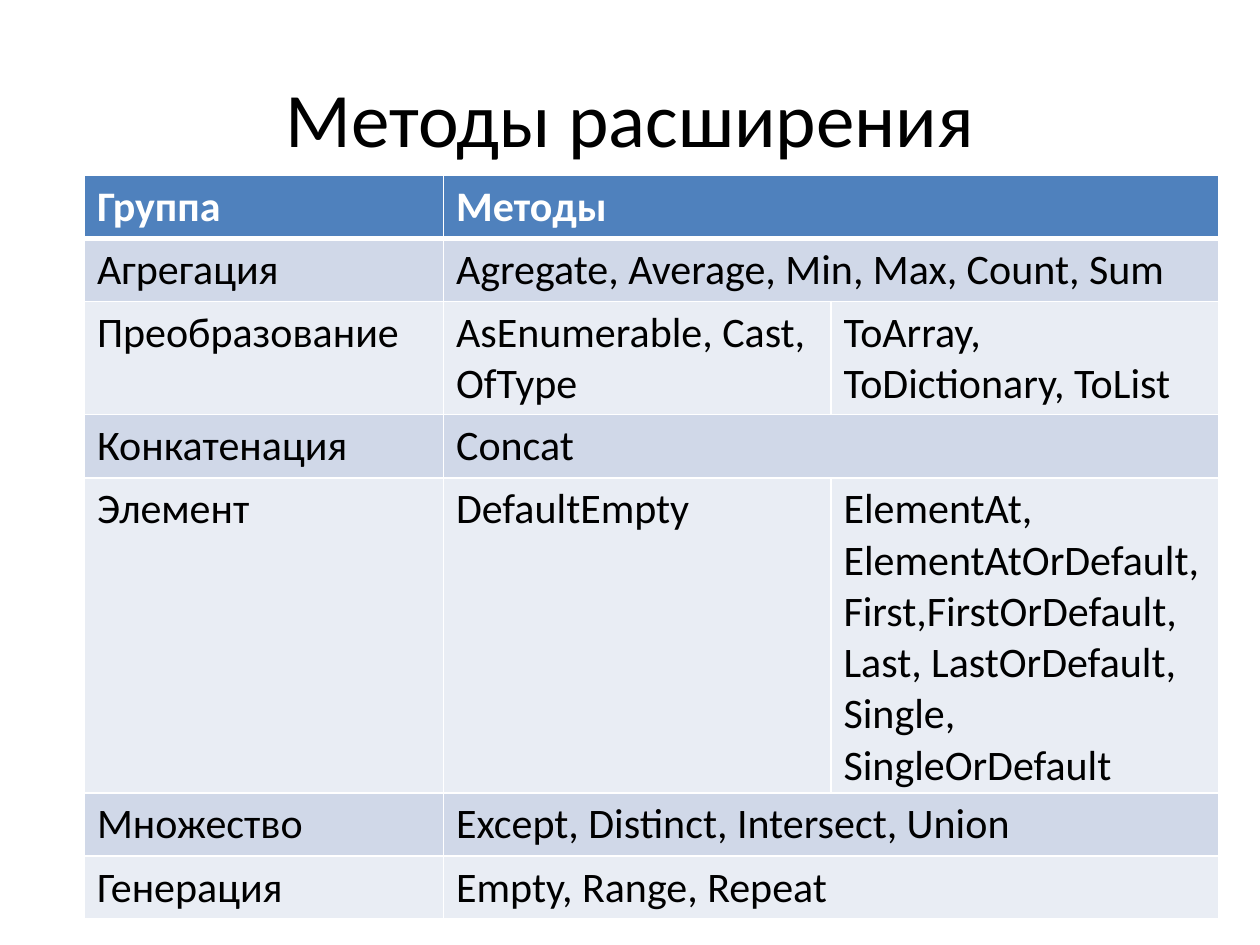
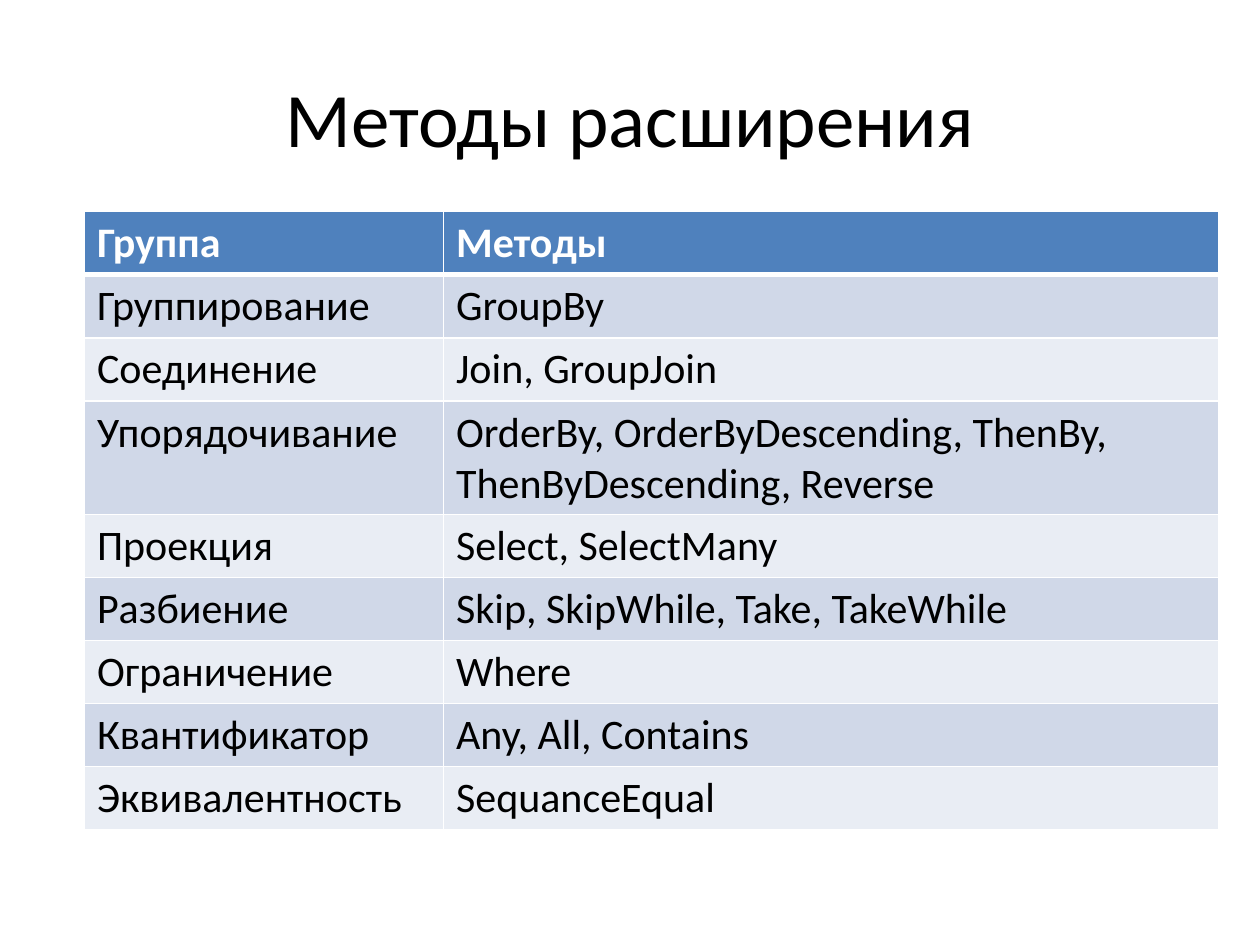
from dataclasses import dataclass

from lxml import etree
from pptx import Presentation
from pptx.dml.color import RGBColor
from pptx.enum import text
from pptx.oxml import ns
from pptx.util import Inches, Pt


@dataclass(frozen=True)
class Theme:
    font: str = "Calibri"
    title_size: int = 44
    table_size: int = 24
    ink: str = "000000"
    paper: str = "FFFFFF"
    header: str = "4F81BD"
    bands: tuple = ("E9EDF4", "D0D8E8")
    rule: int = 1
    header_rule: int = 3


THEME = Theme()
TITLE = "Методы расширения"
HEADINGS = ("Группа", "Методы")
TABLE_LEFT = 0.67
GROUP_WIDTH = 2.85
METHODS_WIDTH = 6.15
ROW_HEIGHT = 0.5
EXTRA_LINE = 0.4

GENERAL_METHODS = [
    HEADINGS,
    ("Агрегация", "Agregate, Average, Min, Max, Count, Sum"),
    ("Преобразование", "AsEnumerable, Cast, OfType", "ToArray, ToDictionary, ToList"),
    ("Конкатенация", "Concat"),
    ("Элемент", "DefaultEmpty",
     "ElementAt, ElementAtOrDefault, First,FirstOrDefault, Last, LastOrDefault, "
     "Single, SingleOrDefault"),
    ("Множество", "Except, Distinct, Intersect, Union"),
    ("Генерация", "Empty, Range, Repeat"),
]

QUERY_METHODS = [
    HEADINGS,
    ("Группирование", "GroupBy"),
    ("Соединение", "Join, GroupJoin"),
    ("Упорядочивание", "OrderBy, OrderByDescending, ThenBy, ThenByDescending, Reverse"),
    ("Проекция", "Select, SelectMany"),
    ("Разбиение", "Skip, SkipWhile, Take, TakeWhile"),
    ("Ограничение", "Where"),
    ("Квантификатор", "Any, All, Contains"),
    ("Эквивалентность", "SequanceEqual"),
]


def write(frame, words, size, color, bold=False):
    frame.text = words
    font = frame.paragraphs[0].runs[0].font
    font.name = THEME.font
    font.size = Pt(size)
    font.bold = bold
    font.color.rgb = RGBColor.from_string(color)


def add_title(slide):
    frame = slide.shapes.add_textbox(
        Inches(0.5), Inches(0.3), Inches(9), Inches(1.25)).text_frame
    frame.word_wrap = True
    frame.vertical_anchor = text.MSO_ANCHOR.MIDDLE
    write(frame, TITLE, THEME.title_size, THEME.ink)
    frame.paragraphs[0].alignment = text.PP_ALIGN.CENTER


def add_border(cell, side, width):
    properties = cell._tc.get_or_add_tcPr()
    line = etree.SubElement(properties, ns.qn(f"a:ln{side}"), w=str(Pt(width)))
    fill = etree.SubElement(line, ns.qn("a:solidFill"))
    etree.SubElement(fill, ns.qn("a:srgbClr"), val=THEME.paper)


def style_cell(cell, words, row):
    is_header = row == 0
    write(cell.text_frame, words, THEME.table_size,
          THEME.paper if is_header else THEME.ink, is_header)
    top = THEME.header_rule if row == 1 else THEME.rule
    bottom = THEME.header_rule if is_header else THEME.rule
    for side, width in zip("LRTB", (THEME.rule, THEME.rule, top, bottom)):
        add_border(cell, side, width)
    cell.fill.solid()
    cell.fill.fore_color.rgb = RGBColor.from_string(
        THEME.header if is_header else THEME.bands[row % 2])


def add_methods_table(slide, top, methods, line_counts):
    columns = max(map(len, methods))
    widths = [GROUP_WIDTH] + [METHODS_WIDTH / (columns - 1)] * (columns - 1)
    heights = [ROW_HEIGHT + EXTRA_LINE * (line_counts.get(entry[0], 1) - 1)
               for entry in methods]
    table = slide.shapes.add_table(
        len(methods), columns, Inches(TABLE_LEFT), Inches(top),
        Inches(sum(widths)), Inches(sum(heights))).table
    table.horz_banding = False
    for column, width in zip(table.columns, widths):
        column.width = Inches(width)
    for row, (entry, height) in enumerate(zip(methods, heights)):
        table.rows[row].height = Inches(height)
        if len(entry) < columns:
            table.cell(row, len(entry) - 1).merge(table.cell(row, columns - 1))
        for column, words in enumerate(entry):
            style_cell(table.cell(row, column), words, row)


def main():
    deck = Presentation()
    deck.slide_width, deck.slide_height = Inches(10), Inches(7.5)
    for top, methods, line_counts in (
        (1.39, GENERAL_METHODS, {"Преобразование": 2, "Элемент": 6}),
        (1.68, QUERY_METHODS, {"Упорядочивание": 2}),
    ):
        slide = deck.slides.add_slide(deck.slide_layouts[6])
        add_title(slide)
        add_methods_table(slide, top, methods, line_counts)
    deck.save("out.pptx")


if __name__ == "__main__":
    main()
